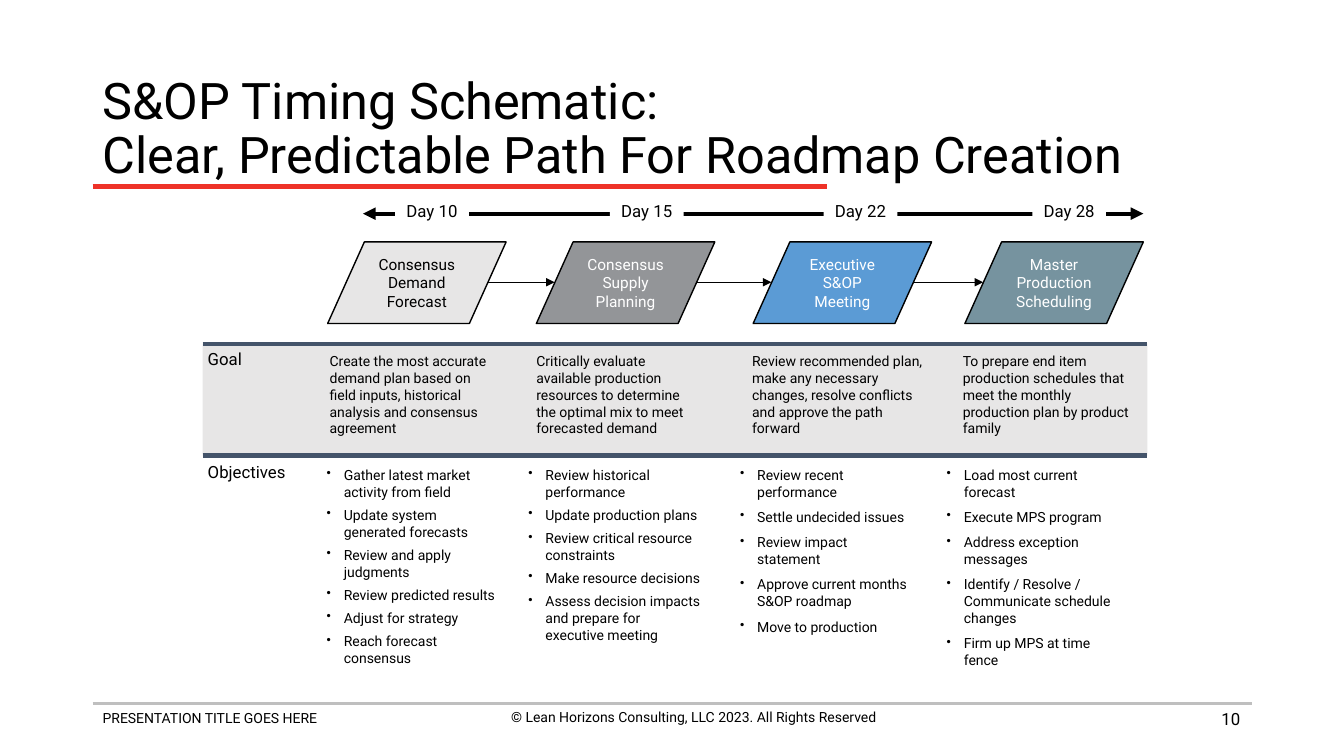
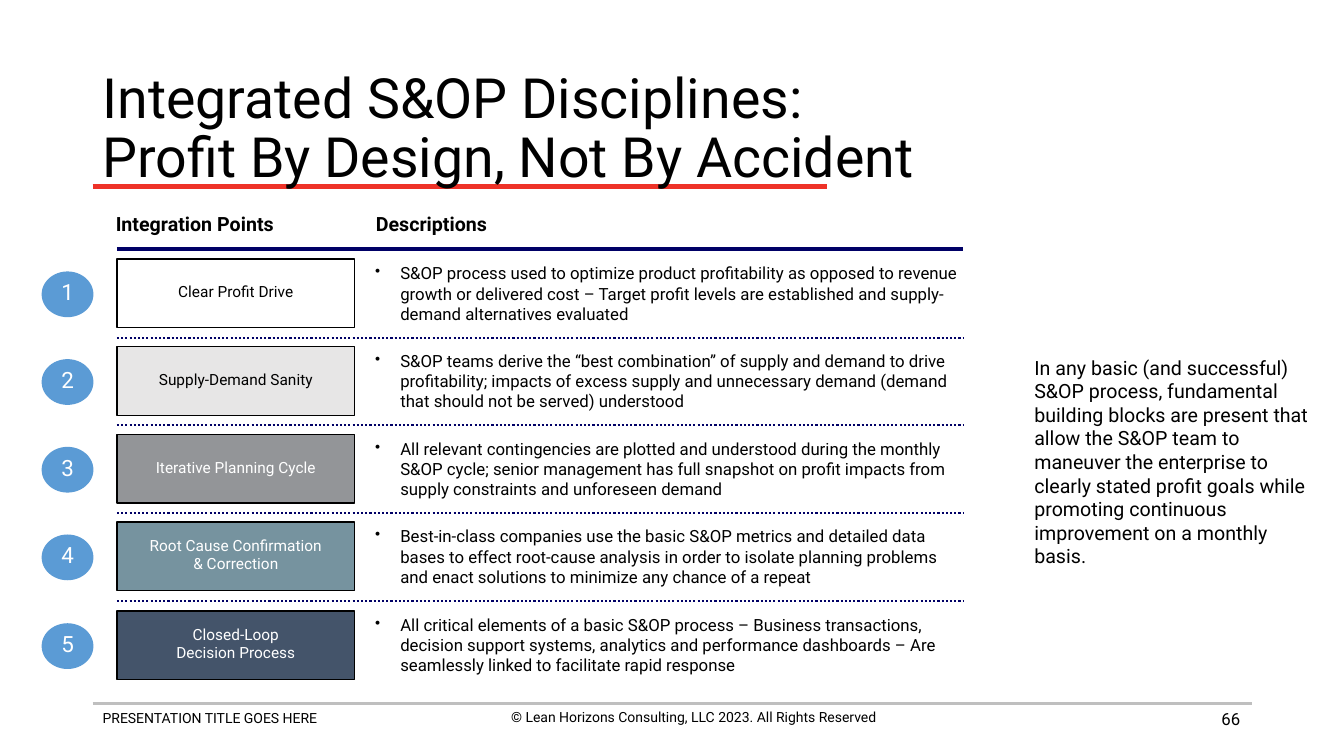
"""Build two S&OP slides: the timing schematic and the integrated disciplines."""
from dataclasses import dataclass

from lxml import etree
from pptx import Presentation
from pptx.dml.color import RGBColor
from pptx.enum.dml import MSO_LINE
from pptx.enum.shapes import MSO_CONNECTOR, MSO_SHAPE
from pptx.enum.text import MSO_ANCHOR, PP_ALIGN
from pptx.oxml.ns import qn
from pptx.util import Emu, Pt

EMU_PER_PX = 9144
FONT = "Roboto"
COLORS = {
    "black": "000000", "white": "FFFFFF", "light": "E7E6E6", "gray": "939598",
    "teal": "76939F", "slate": "44546A", "blue": "5B9BD5", "navy": "000066",
    "red": "EE3228", "rule": "BFBFBF",
}
LEFT, CENTER, RIGHT = PP_ALIGN.LEFT, PP_ALIGN.CENTER, PP_ALIGN.RIGHT
TOP, MIDDLE = MSO_ANCHOR.TOP, MSO_ANCHOR.MIDDLE
RECT, OVAL, SLANT = MSO_SHAPE.RECTANGLE, MSO_SHAPE.OVAL, MSO_SHAPE.PARALLELOGRAM
STRAIGHT = MSO_CONNECTOR.STRAIGHT
DOTTED = MSO_LINE.ROUND_DOT

STAGE_TOP, STAGE_W, STAGE_H, STAGE_SKEW = 240, 177, 81, 18
GOAL_TOP, GOAL_H = 341, 111
ROW_TOP, ROW_H, ROW_COUNT, ROWS_SPAN = 257, 68, 5, 349


@dataclass(frozen=True)
class Stage:
    day: str
    name: str
    fill: str
    ink: str
    left: int
    day_left: int
    goal_left: int
    goal_width: int
    goal: str
    tasks_left: int
    task_gap: float
    tasks: tuple[str, ...]


@dataclass(frozen=True)
class Discipline:
    name: str
    fill: str
    ink: str
    description: str


STAGES = (
    Stage("Day 10", "Consensus\nDemand\nForecast", "light", "black", 325, 392, 318, 177,
          "Create the most accurate demand plan based on field inputs, historical analysis "
          "and consensus agreement", 315, 4.5,
          ("Gather latest market activity from field", "Update system generated forecasts",
           "Review and apply judgments", "Review predicted results", "Adjust for strategy",
           "Reach forecast consensus")),
    Stage("Day 15", "Consensus\nSupply\nPlanning", "gray", "white", 532, 605, 523, 179,
          "Critically evaluate available production resources to determine the optimal mix "
          "to meet forecasted demand", 515, 4.5,
          ("Review historical performance", "Update production plans",
           "Review critical resource constraints", "Make resource decisions",
           "Assess decision impacts and prepare for executive meeting")),
    Stage("Day 22", "Executive\nS&OP\nMeeting", "blue", "white", 747, 817, 737, 190,
          "Review recommended plan, make any necessary changes, resolve conflicts and approve "
          "the path forward", 725, 6,
          ("Review recent performance", "Settle undecided issues", "Review impact statement",
           "Approve current months S&OP roadmap", "Move to production")),
    Stage("Day 28", "Master\nProduction\nScheduling", "teal", "white", 957, 1024, 946, 183,
          "To prepare end item production schedules that meet the monthly production plan by "
          "product family", 930, 6,
          ("Load most current forecast", "Execute MPS program", "Address exception messages",
           "Identify / Resolve / Communicate schedule changes", "Firm up MPS at time fence")),
)

DISCIPLINES = (
    Discipline("Clear Profit Drive", "white", "black",
               "S&OP process used to optimize product profitability as opposed to revenue growth "
               "or delivered cost – Target profit levels are established and supply-demand "
               "alternatives evaluated"),
    Discipline("Supply-Demand Sanity", "light", "black",
               "S&OP teams derive the “best combination” of supply and demand to drive "
               "profitability; impacts of excess supply and unnecessary demand (demand that "
               "should not be served) understood"),
    Discipline("Iterative Planning Cycle", "gray", "white",
               "All relevant contingencies are plotted and understood during the monthly S&OP "
               "cycle; senior management has full snapshot on profit impacts from supply "
               "constraints and unforeseen demand"),
    Discipline("Root Cause Confirmation\n& Correction", "teal", "white",
               "Best-in-class companies use the basic S&OP metrics and detailed data bases to "
               "effect root-cause analysis in order to isolate planning problems and enact "
               "solutions to minimize any chance of a repeat"),
    Discipline("Closed-Loop\nDecision Process", "slate", "white",
               "All critical elements of a basic S&OP process – Business transactions, decision "
               "support systems, analytics and performance dashboards – Are seamlessly linked to "
               "facilitate rapid response"),
)


def px(n: int) -> Emu:
    return Emu(n * EMU_PER_PX)


def rgb(name: str) -> RGBColor:
    return RGBColor.from_string(COLORS[name])


def write(shape, text: str, *, size: float = 10, color: str = "black", bold: bool = False,
          align=LEFT, anchor=TOP, inset: tuple[int, int] = (10, 5), wrap: bool = True,
          spacing: float | None = None, gap: float = 0, bullet: int = 0) -> None:
    tf = shape.text_frame
    tf.word_wrap = wrap
    tf.vertical_anchor = anchor
    tf.margin_left = tf.margin_right = px(inset[0])
    tf.margin_top = tf.margin_bottom = px(inset[1])
    for i, line in enumerate(text.split("\n")):
        p = tf.add_paragraph() if i else tf.paragraphs[0]
        p.text = line
        p.alignment = align
        if bullet:
            pPr = p._p.get_or_add_pPr()
            pPr.set("marL", str(px(bullet)))
            pPr.set("indent", str(px(-bullet)))
            etree.SubElement(pPr, qn("a:buSzPct"), val="90000")
            etree.SubElement(pPr, qn("a:buChar"), char="•")
        if spacing:
            p.line_spacing = spacing
        p.space_before = Pt(gap if i else 0)
        for r in p.runs:
            r.font.name = FONT
            r.font.size = Pt(size)
            r.font.bold = bold
            r.font.color.rgb = rgb(color)


def add_text(s, left: int, top: int, width: int, height: int, text: str, **fmt) -> None:
    write(s.shapes.add_textbox(px(left), px(top), px(width), px(height)), text, **fmt)


def add_box(s, kind, left: int, top: int, width: int, height: int, fill: str,
            line: str | None = None, text: str = "", **fmt):
    sp = s.shapes.add_shape(kind, px(left), px(top), px(width), px(height))
    sp.shadow.inherit = False
    sp.fill.solid()
    sp.fill.fore_color.rgb = rgb(fill)
    if line:
        sp.line.color.rgb = rgb(line)
        sp.line.width = Pt(1)
    else:
        sp.line.fill.background()
    if text:
        write(sp, text, align=CENTER, wrap=False, **fmt)
    return sp


def add_line(s, x1: int, x2: int, y: int, color: str, width: float,
             dash=None, arrows: tuple[str, ...] = ()) -> None:
    c = s.shapes.add_connector(STRAIGHT, px(x1), px(y), px(x2), px(y))
    c.line.color.rgb = rgb(color)
    c.line.width = Pt(width)
    if dash:
        c.line.dash_style = dash
    spPr = c._element.spPr
    for end in arrows:
        etree.SubElement(spPr.find(qn("a:ln")), qn(f"a:{end}"), type="triangle")
    etree.SubElement(spPr, qn("a:effectLst"))


def add_base(prs, title: str, title_size: float, number: int):
    s = prs.slides.add_slide(prs.slide_layouts[6])
    add_line(s, 92, 1242, 698, "rule", 2)
    add_text(s, 92, 699, 456, 44, "PRESENTATION TITLE GOES HERE")
    add_text(s, 460, 698, 456, 44,
             "© Lean Horizons Consulting, LLC 2023. All Rights Reserved", align=CENTER)
    add_text(s, 940, 693, 300, 40, str(number), size=12, align=RIGHT, anchor=MIDDLE)
    add_line(s, 92, 820, 185, "red", 3)
    add_text(s, 92, 74, 1150, 110, title, size=title_size, anchor=MIDDLE, spacing=0.9)
    return s


def build_timing(prs) -> None:
    s = add_base(prs, "S&OP Timing Schematic:\nClear, Predictable Path For Roadmap Creation",
                 36, 10)
    add_box(s, RECT, 201, GOAL_TOP, 937, GOAL_H, "light")
    for label, top in (("Goal", GOAL_TOP), ("Objectives", GOAL_TOP + GOAL_H + 1)):
        add_text(s, 197, top, 132, 31, label, size=12, inset=(9, 5))
    for y in (GOAL_TOP, GOAL_TOP + GOAL_H):
        add_line(s, 201, 1138, y, "slate", 3)
    add_line(s, 360, 1134, 212, "black", 3, arrows=("headEnd", "tailEnd"))
    for st in STAGES:
        add_box(s, RECT, st.day_left, 198, 73, 28, "white", None, st.day, size=12, spacing=0.8)
        sp = add_box(s, SLANT, st.left, STAGE_TOP, STAGE_W, STAGE_H, st.fill, "black", st.name,
                     size=11, color=st.ink, anchor=MIDDLE, inset=(7, 3))
        sp.adjustments[0] = 0.45
        add_text(s, st.goal_left, 345, st.goal_width, 97, st.goal, inset=(9, 5))
        add_text(s, st.tasks_left, 458, 190, 226, "\n".join(st.tasks), inset=(9, 5),
                 gap=st.task_gap, bullet=17)
    for a, b in zip(STAGES, STAGES[1:]):
        add_line(s, a.left + STAGE_W - STAGE_SKEW, b.left + STAGE_SKEW,
                 STAGE_TOP + STAGE_H // 2, "black", 1, arrows=("tailEnd",))


def build_disciplines(prs) -> None:
    s = add_base(prs, "Integrated S&OP Disciplines:\nProfit By Design, Not By Accident", 39.6, 66)
    for left, heading in ((105, "Integration Points"), (363, "Descriptions")):
        add_text(s, left, 210, 250, 29, heading, size=14, bold=True, spacing=0.8)
    add_line(s, 116, 955, 247, "navy", 3)
    for i, d in enumerate(DISCIPLINES):
        top = ROW_TOP + i * ROWS_SPAN // (ROW_COUNT - 1)
        add_box(s, OVAL, 42, top + 13, 50, 44, "blue", "blue", str(i + 1),
                size=16, color="white", anchor=MIDDLE, spacing=0.8)
        add_box(s, RECT, 116, top, 236, ROW_H, d.fill, "black", d.name,
                size=11, color=d.ink, anchor=MIDDLE, spacing=0.8, gap=2.5)
        add_text(s, 364, top, 602, 69, d.description, size=12, inset=(8, 4), bullet=25)
        if i < ROW_COUNT - 1:
            add_line(s, 116, 955, top + 78, "navy", 1.5, dash=DOTTED)
    add_text(s, 1016, 348, 301, 222,
             "In any basic (and successful) S&OP process, fundamental building blocks are present "
             "that allow the S&OP team to maneuver the enterprise to clearly stated profit goals "
             "while promoting continuous improvement on a monthly basis.", size=14)


def main() -> None:
    prs = Presentation()
    prs.slide_width, prs.slide_height = px(1333), px(750)
    build_timing(prs)
    build_disciplines(prs)
    prs.save("out.pptx")


if __name__ == "__main__":
    main()
